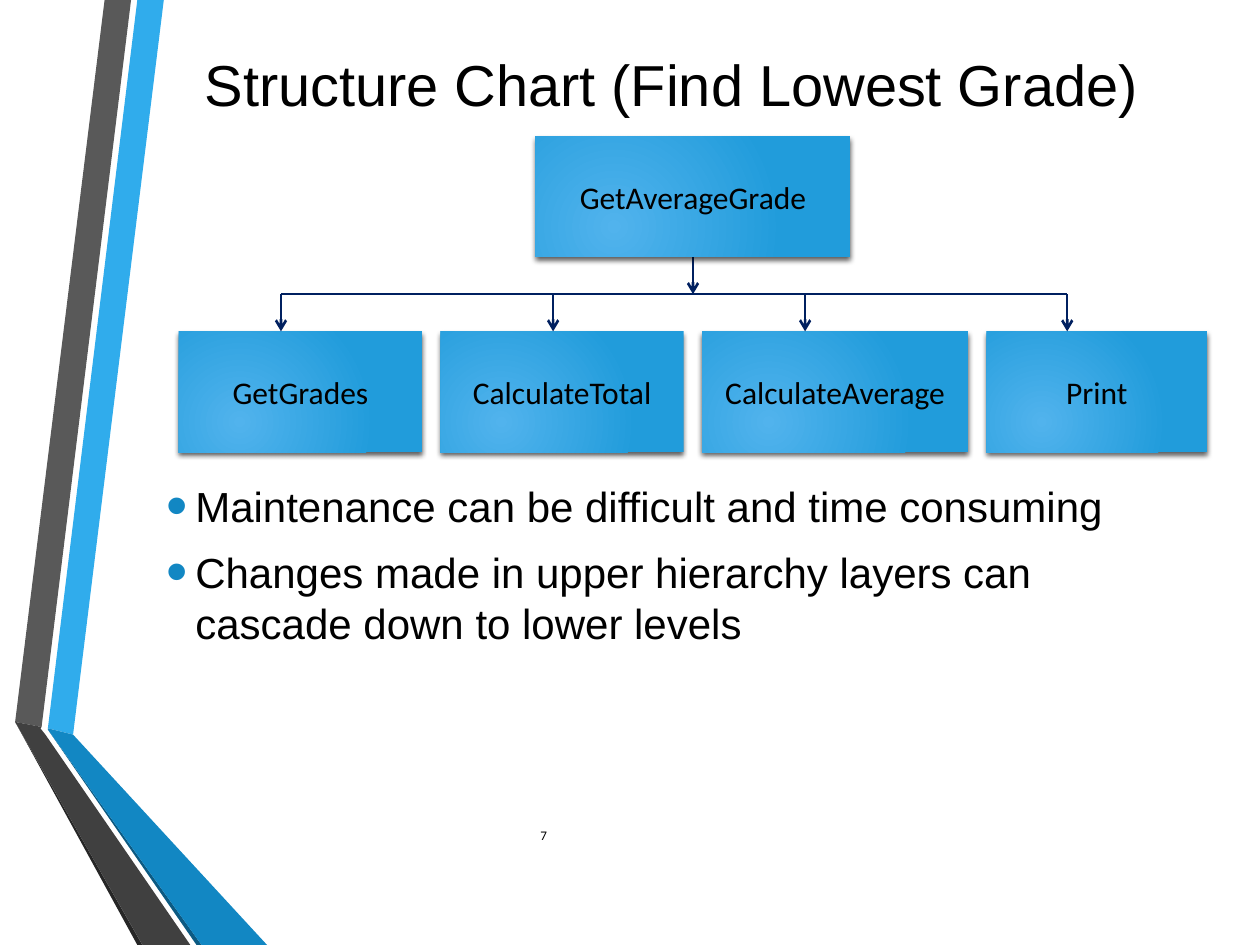
from pptx import Presentation
from pptx.dml.color import RGBColor
from pptx.enum.shapes import MSO_CONNECTOR, MSO_SHAPE
from pptx.enum.text import MSO_ANCHOR, PP_ALIGN
from pptx.oxml import parse_xml
from pptx.oxml.ns import nsdecls
from pptx.util import Inches, Pt

BLACK, NAVY, BULLET = "000000", "002060", "1287C3"
RIBBONS = [
    ("30ACEC", [(0.38, 5.78), (0.58, 5.83), (1.3, 0), (1.09, 0)]),
    ("595959", [(1.04, 0), (0.83, 0), (0.12, 5.73), (0.33, 5.77)]),
    ("262626", [(0.12, 5.73), (1.09, 7.5), (1.13, 7.5)]),
    ("0C5A82", [(0.38, 5.79), (1.56, 7.5), (1.6, 7.5)]),
    ("1287C3", [(0.38, 5.79), (1.6, 7.5), (2.12, 7.5), (0.58, 5.83), (0.38, 5.78)]),
    ("404040", [(1.51, 7.5), (0.36, 5.83), (0.32, 5.78), (0.33, 5.77),
                (0.12, 5.73), (1.13, 7.5)]),
]
MODULES = [("GetGrades", 1.93, 2.23), ("CalculateTotal", 1.93, 4.39),
           ("CalculateAverage", 2.11, 6.39), ("Print", 1.75, 8.47)]


def rgb(value):
    return RGBColor.from_string(value)


def add_xml(parent, xml):
    el = parse_xml(xml.replace(">", f" {nsdecls('a')}>", 1)
                   if not xml.split(">")[0].endswith("/")
                   else xml.replace("/>", f" {nsdecls('a')}/>", 1))
    parent.append(el)


def place(sp, left, top, width, height):
    sp.left, sp.top = Inches(left), Inches(top)
    sp.width, sp.height = Inches(width), Inches(height)


def add_run(p, text, size, font):
    r = p.add_run()
    r.text = text
    r.font.size = Pt(size)
    r.font.name = font
    r.font.color.rgb = rgb(BLACK)


def add_ribbons(slide, left, top):
    for color, points in RIBBONS:
        points = [(Inches(left + x), Inches(top + y)) for x, y in points]
        builder = slide.shapes.build_freeform(*points[0], scale=1.0)
        builder.add_line_segments(points[1:], close=True)
        sp = builder.convert_to_shape()
        sp.fill.solid()
        sp.fill.fore_color.rgb = rgb(color)
        sp.line.fill.background()
        sp.shadow.inherit = False


def add_title(slide, text, left, top, width, height):
    title = slide.shapes.title
    place(title, left, top, width, height)
    tf = title.text_frame
    tf.vertical_anchor = MSO_ANCHOR.MIDDLE
    p = tf.paragraphs[0]
    p.alignment = PP_ALIGN.CENTER
    add_run(p, text, 33, "Arial")


def add_bullets(slide, items, left, top, width, height):
    body = slide.placeholders[1]
    place(body, left, top, width, height)
    tf = body.text_frame
    for i, text in enumerate(items):
        p = tf.add_paragraph() if i else tf.paragraphs[0]
        p.space_before, p.space_after = Pt(4.8), Pt(4.5)
        pPr = p._p.get_or_add_pPr()
        pPr.set("marL", str(Inches(0.23)))
        pPr.set("indent", str(Inches(-0.23)))
        add_xml(pPr, f'<a:buClr><a:srgbClr val="{BULLET}"/></a:buClr>')
        add_xml(pPr, '<a:buSzPct val="145000"/>')
        add_xml(pPr, '<a:buFont typeface="Arial"/>')
        add_xml(pPr, '<a:buChar char="•"/>')
        add_run(p, text, 24, "Arial")


def add_module(slide, text, left, top, width, height):
    sp = slide.shapes.add_shape(MSO_SHAPE.RECTANGLE, Inches(left), Inches(top),
                                Inches(width), Inches(height))
    spPr = sp._element.spPr
    add_xml(spPr, '<a:gradFill rotWithShape="1"><a:gsLst>'
            '<a:gs pos="0"><a:srgbClr val="51B3ED"/></a:gs>'
            '<a:gs pos="100000"><a:srgbClr val="219CDB"/></a:gs></a:gsLst>'
            '<a:path path="circle"><a:fillToRect l="50000" t="100000" '
            'r="100000" b="50000"/></a:path></a:gradFill>')
    sp.line.fill.background()
    add_xml(spPr, f'<a:effectLst><a:outerShdw blurRad="{Pt(3)}" dist="{Pt(2)}" '
            'dir="5400000" rotWithShape="0"><a:srgbClr val="000000">'
            '<a:alpha val="64000"/></a:srgbClr></a:outerShdw></a:effectLst>')
    tf = sp.text_frame
    tf.word_wrap = True
    tf.vertical_anchor = MSO_ANCHOR.MIDDLE
    p = tf.paragraphs[0]
    p.alignment = PP_ALIGN.CENTER
    add_run(p, text, 18, "Calibri")


def add_line(slide, x1, y1, x2, y2, arrow=True):
    line = slide.shapes.add_connector(MSO_CONNECTOR.STRAIGHT, Inches(x1), Inches(y1),
                                      Inches(x2), Inches(y2))
    line.line.color.rgb = rgb(NAVY)
    line.line.width = Pt(1.5)
    if arrow:
        add_xml(line.line._get_or_add_ln(), '<a:tailEnd type="arrow"/>')
    add_xml(line._element.spPr, "<a:effectLst/>")


def add_structure_chart(slide, left, top, width, height):
    box_h, root_w = 0.96, 2.5
    center = left + width / 2
    row_top = top + height - box_h
    bus = (top + box_h + row_top) / 2
    gap = (width - sum(w for _, w, _ in MODULES)) / (len(MODULES) - 1)
    x = left
    for name, w, _ in MODULES:
        add_module(slide, name, x, row_top, w, box_h)
        x += w + gap
    drops = [drop for _, _, drop in MODULES]
    add_line(slide, drops[0], bus, drops[-1], bus, arrow=False)
    add_line(slide, center, top + box_h, center, bus)
    for drop in drops:
        add_line(slide, drop, bus, drop, row_top)
    add_module(slide, "GetAverageGrade", center - root_w / 2, top, root_w, box_h)


def add_page_number(slide, text, left, top, width, height):
    tb = slide.shapes.add_textbox(Inches(left), Inches(top), Inches(width), Inches(height))
    tf = tb.text_frame
    tf.word_wrap = True
    tf.vertical_anchor = MSO_ANCHOR.MIDDLE
    add_run(tf.paragraphs[0], text, 7.5, "Calibri")


def main():
    prs = Presentation()
    prs.slide_width, prs.slide_height = Inches(10), Inches(7.5)
    slide = prs.slides.add_slide(prs.slide_layouts[1])
    add_ribbons(slide, 0, 0)
    add_title(slide, "Structure Chart (Find Lowest Grade)", 1.22, 0.25, 8.22, 0.83)
    add_bullets(slide, ["Maintenance can be difficult and time consuming",
                        "Changes made in upper hierarchy layers can cascade down to lower levels"],
                1.22, 3.76, 8.22, 3.08)
    add_page_number(slide, "7", 4.19, 6.43, 5.81, 0.4)
    add_structure_chart(slide, 1.42, 1.08, 8.16, 2.51)
    prs.save("out.pptx")


if __name__ == "__main__":
    main()
